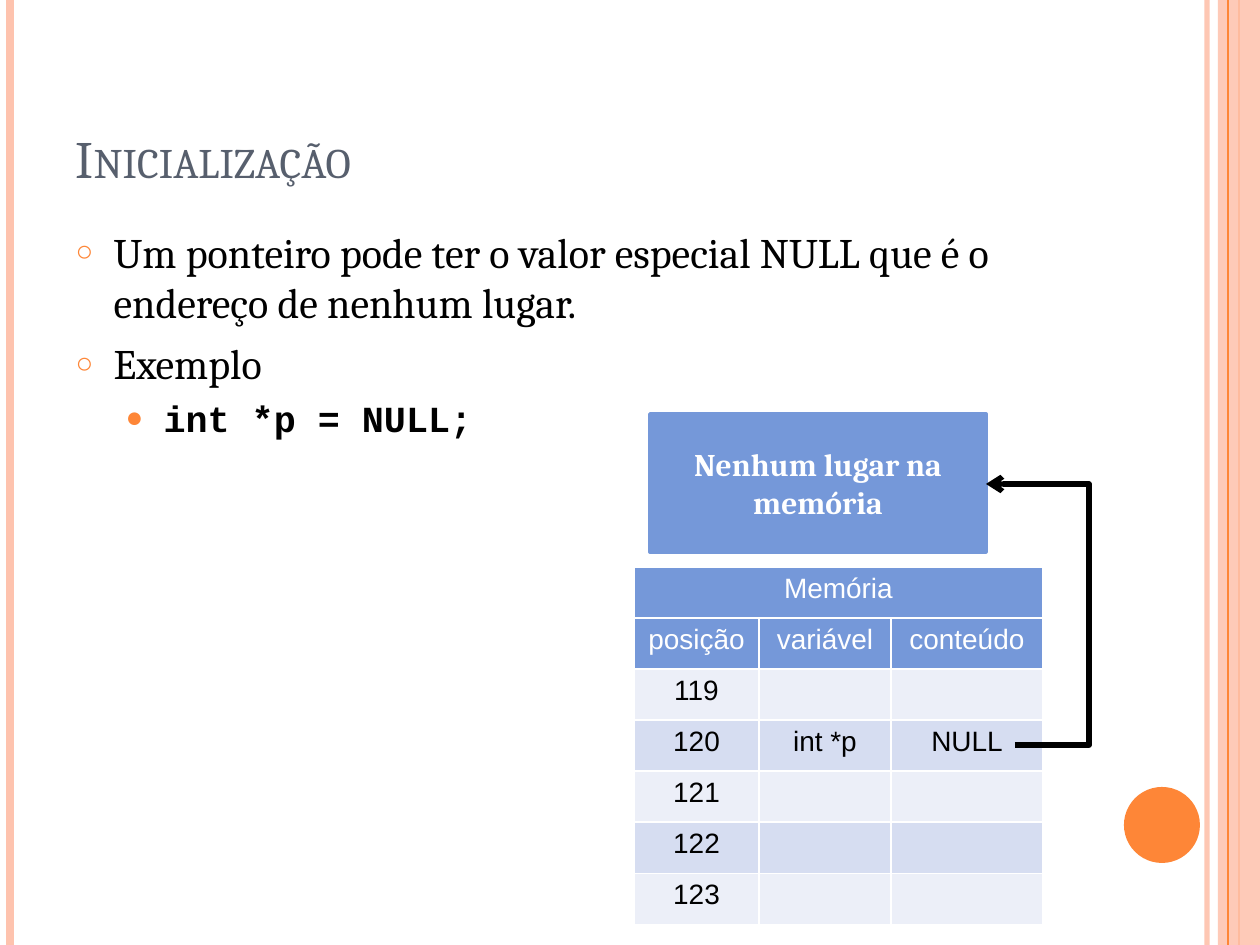
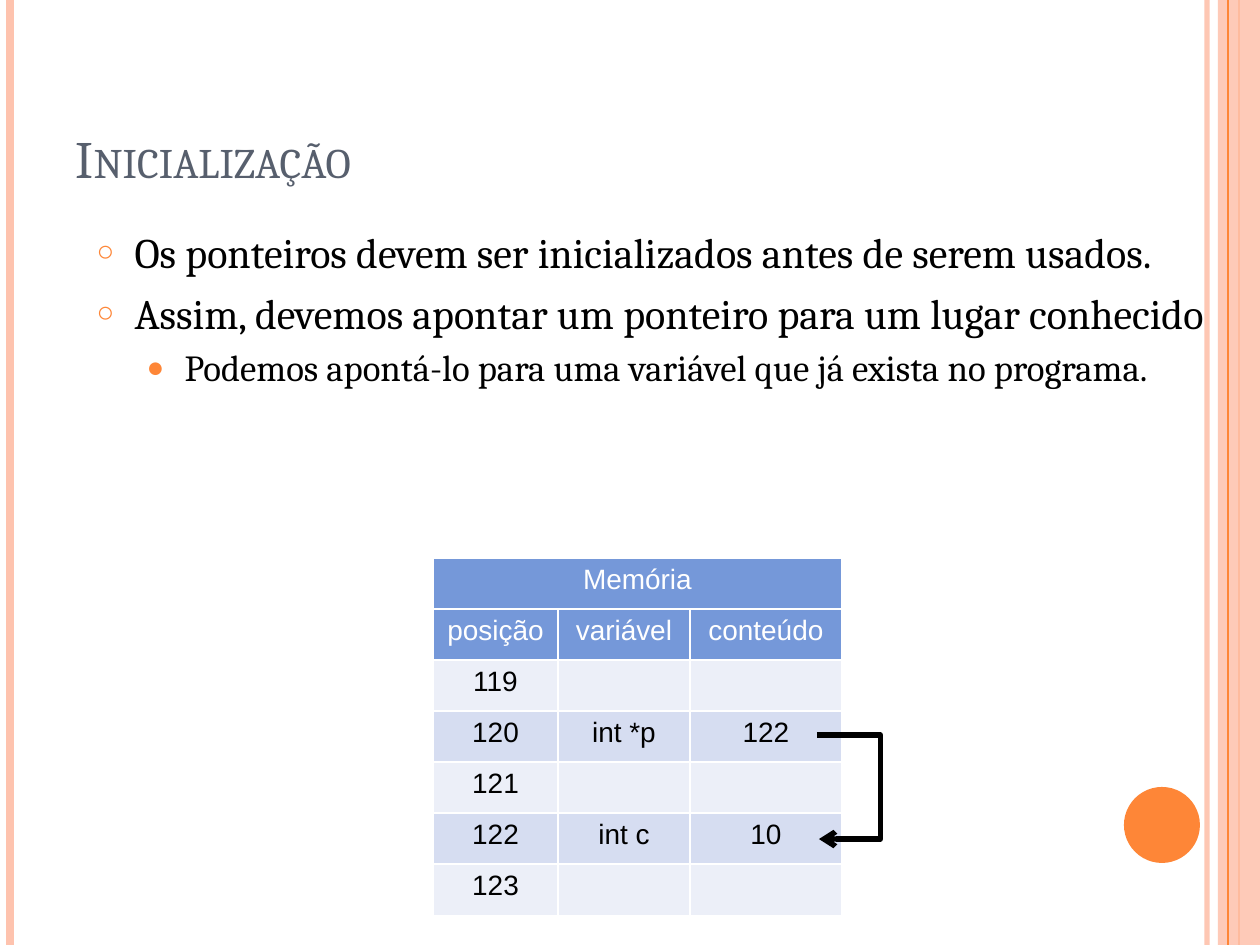
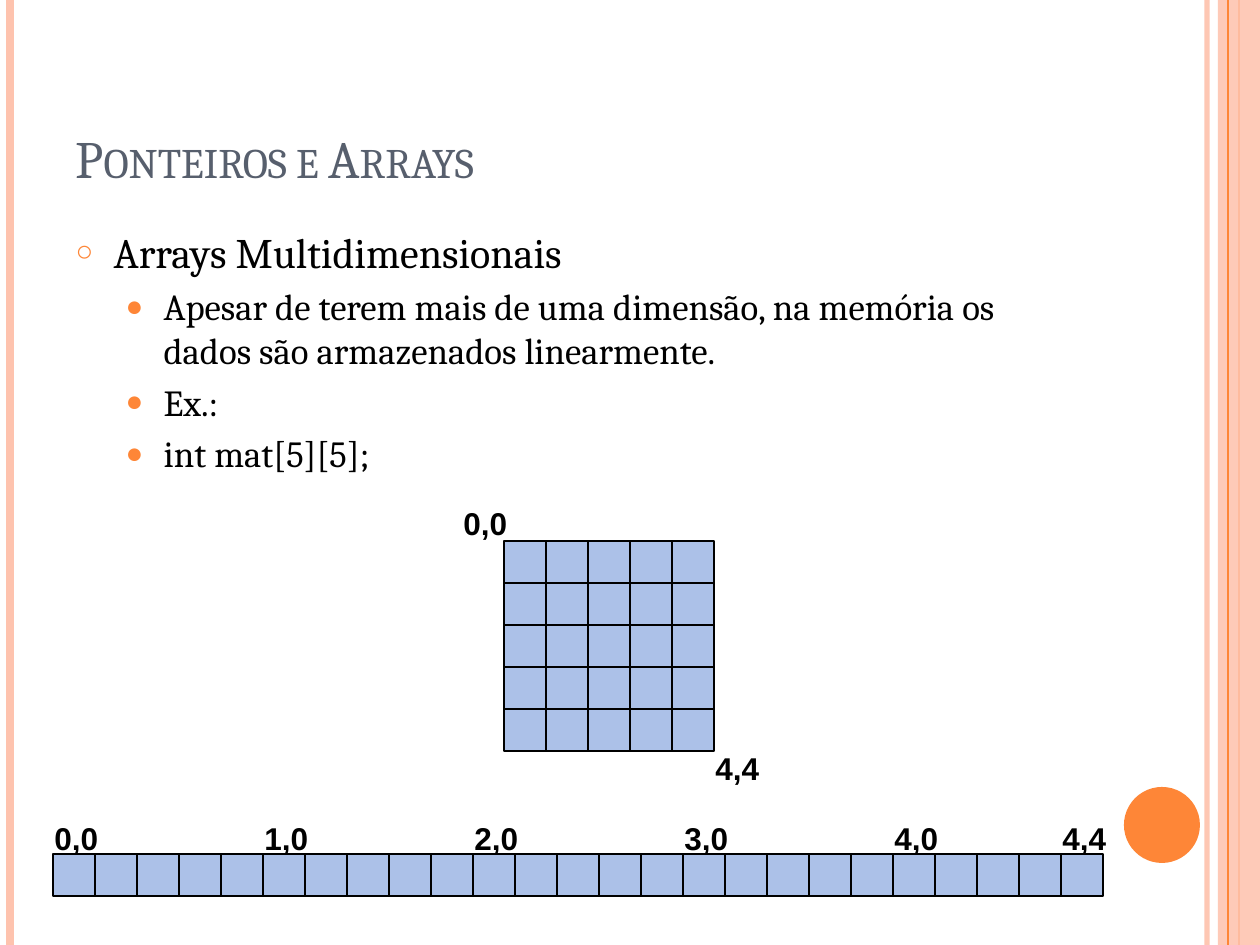
from collections import namedtuple
from dataclasses import dataclass

from lxml.etree import SubElement
from pptx import Presentation
from pptx.dml.color import RGBColor
from pptx.enum.shapes import MSO_CONNECTOR, MSO_SHAPE
from pptx.enum.text import MSO_ANCHOR, MSO_AUTO_SIZE, PP_ALIGN
from pptx.oxml.ns import qn
from pptx.util import Emu, Pt

Box = namedtuple("Box", "left top width height")
Item = namedtuple("Item", "text level font bold", defaults=(0, None, False))


@dataclass(frozen=True)
class Theme:
    """Colours, fonts and type sizes of the deck."""
    orange: str = "FE8637"
    peach: str = "FEC3AE"
    slate: str = "575F6D"
    blue: str = "7598D9"
    light_blue: str = "ACC1E8"
    bands: tuple = ("ECEFF8", "D6DDF1")
    black: str = "000000"
    white: str = "FFFFFF"
    serif: str = "Cambria"
    sans: str = "Arial"
    mono: str = "Courier New"
    title_size: int = 30
    body_sizes: tuple = (24, 21)
    table_size: int = 16
    label_size: int = 18


THEME = Theme()
PAGE = Box(0, 0, 1260, 945)
TITLE = Box(63, 38, 1029, 157)
BODY = Box(63, 220, 1029, 672)
WIDE_BODY = Box(84, 220, 1144, 609)
COLUMNS = (125, 132, 152)
ROW = 51
CELL = 42


def px(count):
    """Turn pixels into EMU."""
    return Emu(round(count * 914400 / 126))


def rgb(color):
    """Turn a hex string into a colour."""
    return RGBColor.from_string(color)


def place(shape, box):
    """Move and size a shape to a box."""
    shape.left, shape.top, shape.width, shape.height = map(px, box)


def write(para, text, font=THEME.serif, size=THEME.label_size, color=THEME.black,
          bold=False, small_caps=False, align=PP_ALIGN.LEFT):
    """Write one formatted span into a paragraph."""
    para.alignment = align
    span = para.add_run()
    span.text = text
    span.font.name, span.font.size, span.font.bold = font, Pt(size), bold
    span.font.color.rgb = rgb(color)
    if small_caps:
        span.font._element.set("cap", "small")


def add_block(shapes, kind, box, fill, line=None, weight=0.75):
    """Draw a flat preset shape."""
    shape = shapes.add_shape(kind, *map(px, box))
    shape.shadow.inherit = False
    shape.fill.solid()
    shape.fill.fore_color.rgb = rgb(fill)
    if line:
        shape.line.color.rgb = rgb(line)
        shape.line.width = Pt(weight)
    else:
        shape.line.fill.background()
    return shape


def add_line(shapes, start, end, color, weight, kind=MSO_CONNECTOR.STRAIGHT):
    """Draw a connector without shadow."""
    line = shapes.add_connector(kind, *map(px, start + end))
    line.line.color.rgb = rgb(color)
    line.line.width = Pt(weight)
    SubElement(line.element.spPr, qn("a:effectLst"))
    return line


def add_pointer(shapes, start, end, bend):
    """Draw an elbow arrow whose vertical part stands at bend."""
    arrow = add_line(shapes, start, end, THEME.black, 3, MSO_CONNECTOR.ELBOW)
    properties = arrow.element.spPr
    SubElement(properties.find(qn("a:ln")), qn("a:tailEnd"), type="arrow")
    ratio = round((bend - start[0]) / (end[0] - start[0]) * 100000)
    guides = properties.find(qn("a:prstGeom")).get_or_add_avLst()
    SubElement(guides, qn("a:gd"), name="adj1", fmla=f"val {ratio}")


def fade(shape, percent):
    """Make the colour of a shape partly transparent."""
    color = next(shape.element.spPr.iter(qn("a:srgbClr")))
    SubElement(color, qn("a:alpha"), val=str(percent * 1000))


def decorate(layout, page, box):
    """Give the layout its side bands and circle."""
    for holder in list(layout.placeholders)[2:]:
        holder.element.getparent().remove(holder.element)

    def rule(x, color, weight):
        """Draw a full-height rule at x."""
        return add_line(page.shapes, (box.left + x, box.top),
                        (box.left + x, box.top + box.height), color, weight)

    inner = rule(1207, THEME.peach, 3)
    outer = rule(10, THEME.peach, 4.5)
    right = rule(1239, THEME.orange, 1.5)
    band = add_block(page.shapes, MSO_SHAPE.RECTANGLE,
                     Box(box.left + 1218, box.top, 42, box.height), THEME.peach)
    thin = rule(1228, THEME.orange, 0.75)
    circle = add_block(page.shapes, MSO_SHAPE.OVAL,
                       Box(box.left + 1124, box.top + 787, 76, 76), THEME.orange)
    fade(inner, 93)
    fade(band, 87)
    for shape in (inner, outer, right, band, thin, circle):
        layout.shapes.element.append(shape.element)


def add_bullet(para, level):
    """Give a paragraph the indent, spacing and bullet of its level."""
    para.level = level
    para.space_before = Pt((6, 4.2)[level])
    properties = para._p.get_or_add_pPr()
    properties.set("marL", str(px((38, 88)[level])))
    properties.set("indent", str(px(-38)))
    SubElement(SubElement(properties, qn("a:buClr")), qn("a:srgbClr"), val=THEME.orange)
    SubElement(properties, qn("a:buSzPct"), val=("70000", "80000")[level])
    SubElement(properties, qn("a:buFont"), typeface=THEME.sans)
    SubElement(properties, qn("a:buChar"), char="○●"[level])


def add_page(deck, title, items, box=BODY):
    """Add a page with a title and a bulleted list."""
    page = deck.slides.add_slide(deck.slide_layouts[1])
    heading, body = page.placeholders
    place(heading, TITLE)
    place(body, box)
    for holder, anchor in ((heading, MSO_ANCHOR.BOTTOM), (body, MSO_ANCHOR.TOP)):
        holder.text_frame.auto_size = MSO_AUTO_SIZE.NONE
        holder.text_frame.vertical_anchor = anchor
    write(heading.text_frame.paragraphs[0], title, size=THEME.title_size,
          color=THEME.slate, small_caps=True)
    for index, item in enumerate(items):
        frame = body.text_frame
        para = frame.add_paragraph() if index else frame.paragraphs[0]
        write(para, item.text, font=item.font or THEME.serif,
              size=THEME.body_sizes[item.level], bold=item.bold)
        add_bullet(para, item.level)
    return page


def format_cell(cell, text, fill, color):
    """Fill, border and write one table cell."""
    cell.fill.solid()
    cell.fill.fore_color.rgb = rgb(fill)
    properties = cell._tc.get_or_add_tcPr()
    for index, side in enumerate("LRTB"):
        border = SubElement(properties, qn(f"a:ln{side}"), w=str(Pt(1)))
        SubElement(SubElement(border, qn("a:solidFill")), qn("a:srgbClr"), val=THEME.white)
        properties.insert(index, border)
    if text:
        write(cell.text_frame.paragraphs[0], text, font=THEME.sans,
              size=THEME.table_size, color=color, align=PP_ALIGN.CENTER)


def add_memory(page, left, top, variables):
    """Draw the memory table with variables keyed by position."""
    rows = [("Memória", "", ""), ("posição", "variável", "conteúdo")]
    rows += [(str(position), *variables.get(position, ("", ""))) for position in range(119, 124)]
    box = Box(left, top, sum(COLUMNS), ROW * len(rows))
    table = page.shapes.add_table(len(rows), len(COLUMNS), *map(px, box)).table
    table.first_row = table.horz_banding = False
    for column, width in zip(table.columns, COLUMNS):
        column.width = px(width)
    for number, values in enumerate(rows):
        table.rows[number].height = px(ROW)
        header = number < 2
        fill = THEME.blue if header else THEME.bands[number % 2]
        color = THEME.white if header else THEME.black
        for column, text in enumerate(values):
            format_cell(table.cell(number, column), text, fill, color)
    table.cell(0, 0).merge(table.cell(0, 2))


def add_nowhere(page, box):
    """Draw the box for no place in memory and the arrow into it."""
    shapes = page.shapes.add_group_shape().shapes
    nowhere = add_block(shapes, MSO_SHAPE.RECTANGLE, box, THEME.blue, THEME.blue, 2)
    frame = nowhere.text_frame
    frame.word_wrap = True
    frame.vertical_anchor = MSO_ANCHOR.MIDDLE
    write(frame.paragraphs[0], "Nenhum lugar na memória", color=THEME.white,
          bold=True, align=PP_ALIGN.CENTER)
    right, middle = box.left + box.width, box.top + box.height // 2 + 1
    add_pointer(shapes, (right + 29, middle + 261), (right, middle), right + 103)


def add_label(shapes, text, left, top, width):
    """Write an array index."""
    label = shapes.add_textbox(*map(px, (left, top, width, 50)))
    label.text_frame.word_wrap = True
    write(label.text_frame.paragraphs[0], text, font=THEME.sans, bold=True)


def add_cells(shapes, left, top, rows, columns):
    """Draw a grid of square array cells."""
    for index in range(rows * columns):
        row, column = divmod(index, columns)
        box = Box(left + column * CELL, top + row * CELL, CELL, CELL)
        add_block(shapes, MSO_SHAPE.RECTANGLE, box, THEME.light_blue, THEME.black)


def add_matrix(page, left, top, side):
    """Draw the square array with its corner indexes."""
    shapes = page.shapes.add_group_shape().shapes
    add_cells(shapes, left, top, side, side)
    add_label(shapes, "0,0", left - 53, top - 43, 116)
    add_label(shapes, "4,4", left + side * CELL - 11, top + side * CELL - 8, 116)


def add_strip(page, left, top, side):
    """Draw the same array laid out in one row."""
    shapes = page.shapes.add_group_shape().shapes
    add_cells(shapes, left, top, 1, side * side)
    marks = [(row * side, f"{row},0") for row in range(side)] + [(side * side - 1, "4,4")]
    for index, text in marks:
        add_label(shapes, text, left - 11 + index * CELL, top - 41, 73)


def main():
    """Build and save the deck."""
    deck = Presentation()
    deck.slide_width, deck.slide_height = px(PAGE.width), px(PAGE.height)

    page = add_page(deck, "Inicialização", [
        Item("Um ponteiro pode ter o valor especial NULL que é o endereço de nenhum lugar."),
        Item("Exemplo"),
        Item("int *p = NULL;", 1, THEME.mono, True),
    ])
    decorate(deck.slide_layouts[1], page, PAGE)
    add_memory(page, 634, 567, {120: ("int *p", "NULL")})
    add_nowhere(page, Box(650, 414, 336, 138))

    page = add_page(deck, "Inicialização", [
        Item("Os ponteiros devem ser inicializados antes de serem usados."),
        Item("Assim, devemos apontar um ponteiro para um lugar conhecido"),
        Item("Podemos apontá-lo para uma variável que já exista no programa.", 1),
    ], WIDE_BODY)
    add_memory(page, 433, 558, {120: ("int *p", "122"), 122: ("int c", "10")})
    add_pointer(page.shapes, (817, 735), (819, 839), 881)

    page = add_page(deck, "Ponteiros e Arrays", [
        Item("Arrays Multidimensionais"),
        Item("Apesar de terem mais de uma dimensão, na memória os dados são "
             "armazenados linearmente.", 1),
        Item("Ex.:", 1),
        Item("int mat[5][5];", 1),
    ])
    add_matrix(page, 504, 541, 5)
    add_strip(page, 53, 854, 5)
    deck.save("out.pptx")


if __name__ == "__main__":
    main()
